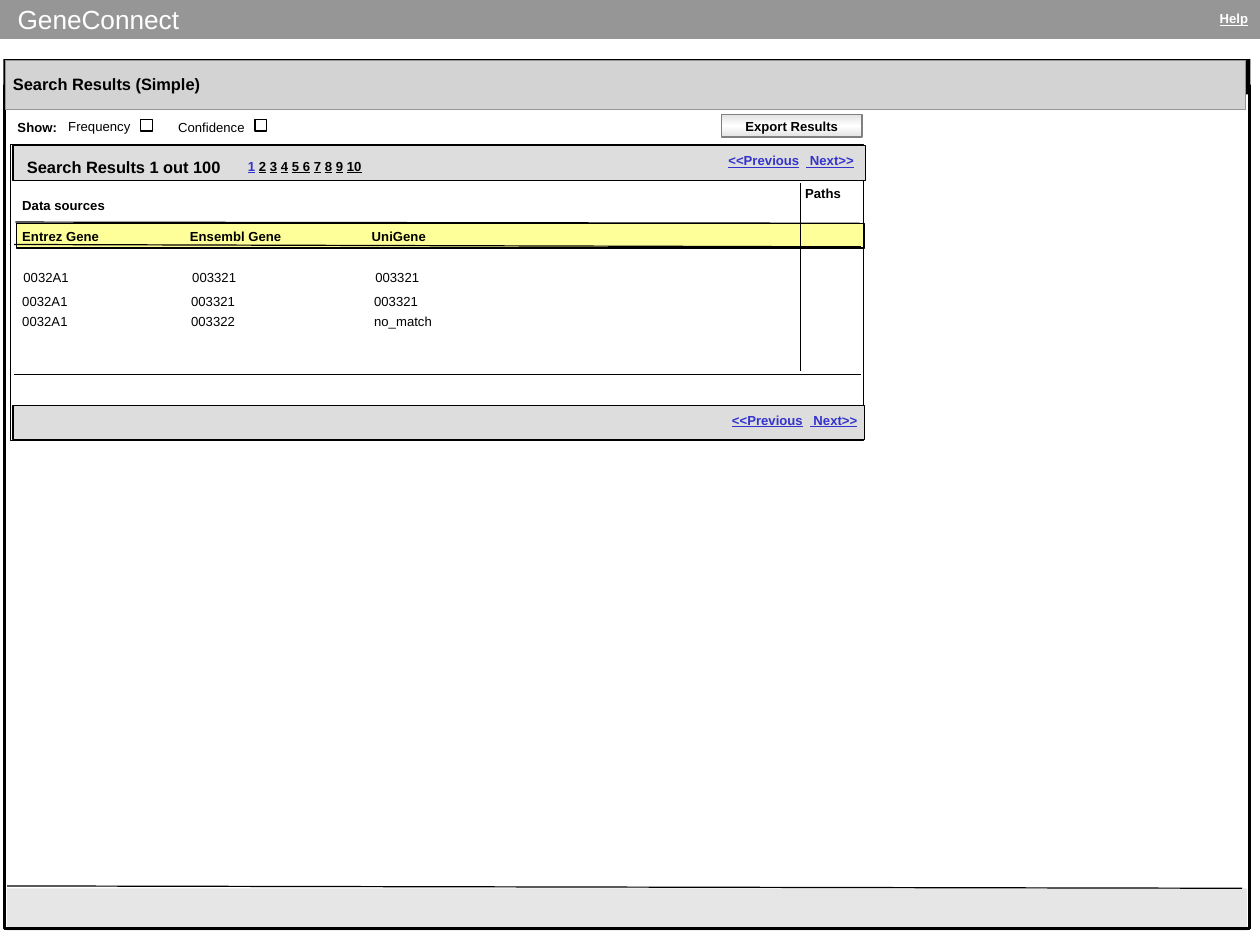
from collections import namedtuple
from copy import deepcopy

from lxml.etree import SubElement
from pptx import Presentation
from pptx.dml.color import RGBColor
from pptx.enum.shapes import MSO_CONNECTOR, MSO_SHAPE
from pptx.enum.text import MSO_ANCHOR, MSO_AUTO_SIZE, PP_ALIGN
from pptx.oxml.ns import qn
from pptx.util import Inches, Pt

BLACK, WHITE, LINK = "000000", "FFFFFF", "3333CC"
BAR_GREY, PANEL_GREY = "969696", "DDDDDD"
LINKED = {"underline": True}


class Box(namedtuple("Box", "left top width height")):
    def inside(self, dx, dy, width, height):
        return Box(self.left + dx, self.top + dy, width, height)


def paint(color_format, color):
    color_format.rgb = RGBColor.from_string(color)


def add_rect(slide, box, fill=None, line=None, weight=0.75):
    rect = slide.shapes.add_shape(MSO_SHAPE.RECTANGLE, *map(Inches, box))
    rect.shadow.inherit = False
    if fill:
        rect.fill.solid()
        paint(rect.fill.fore_color, fill)
    else:
        rect.fill.background()
    if line:
        paint(rect.line.color, line)
        rect.line.width = Pt(weight)
    else:
        rect.line.fill.background()
    return rect


def add_rule(slide, box, start, end):
    ends = (box.left + start[0], box.top + start[1], box.left + end[0], box.top + end[1])
    rule = slide.shapes.add_connector(MSO_CONNECTOR.STRAIGHT, *map(Inches, ends))
    paint(rule.line.color, BLACK)
    rule.line.width = Pt(0.75)
    SubElement(rule._element.spPr, qn("a:effectLst"))


def write(shape, runs, size=8, color=BLACK, bold=False, underline=False, align=PP_ALIGN.LEFT,
          anchor=MSO_ANCHOR.TOP, insets=(0.1, 0.05), wrap=True, spacing=1, tabs=()):
    frame = shape.text_frame
    frame.auto_size = MSO_AUTO_SIZE.NONE
    frame.word_wrap = wrap
    frame.vertical_anchor = anchor
    frame.margin_left = frame.margin_right = Inches(insets[0])
    frame.margin_top = frame.margin_bottom = Inches(insets[1])
    paragraph = frame.paragraphs[0]
    paragraph.alignment = align
    paragraph.line_spacing = spacing
    if tabs:
        stops = SubElement(paragraph._p.get_or_add_pPr(), qn("a:tabLst"))
        for stop in tabs:
            SubElement(stops, qn("a:tab"), pos=str(Inches(stop)), algn="l")
    for text, changes in [(runs, {})] if isinstance(runs, str) else runs:
        run = paragraph.add_run()
        run.text = text
        run.font.name = "Arial"
        run.font.size = Pt(size)
        run.font.bold = bold
        run.font.underline = changes.get("underline", underline)
        paint(run.font.color, changes.get("color", color))


def add_text(slide, box, runs, **formats):
    write(slide.shapes.add_textbox(*map(Inches, box)), runs, **formats)


def add_app_bar(slide, box):
    bar = add_rect(slide, box, fill=BAR_GREY)
    write(bar, "GeneConnect", size=16, color=WHITE, insets=(0.15, 0.03), anchor=MSO_ANCHOR.MIDDLE)
    add_text(slide, box.inside(box.width - 0.44, 0.04, 0.44, 0.24), "Help",
             color=WHITE, bold=True, underline=True, wrap=False)


def add_window(slide, box):
    add_rect(slide, box.inside(0.03, 7.02, 10.5, 0.36), fill="E6E6E6")
    add_rule(slide, box, (0.03, 7), (10.49, 7.02))
    add_rect(slide, box.inside(0, 0, box.width, 0.3), fill=BLACK)
    add_rect(slide, box.inside(0.01, 0.22, 10.54, 7.14), line=BLACK, weight=1.5)
    add_rect(slide, box.inside(0.02, 0.01, 10.5, 0.42), fill="D3D3D3", line=BAR_GREY)
    title = slide.shapes.title
    title.left, title.top, title.width, title.height = map(Inches, box.inside(-0.02, 0.08, 4.37, 0.27))
    write(title, "Search Results (Simple)", size=10, bold=True)
    slide.shapes._spTree.append(title._element)


def add_button(slide, box, label):
    button = add_rect(slide, box, line="808080")
    button.fill.gradient()
    button.fill.gradient_angle = 90
    first_stop = button._element.spPr.find(".//" + qn("a:gs"))
    first_stop.addnext(deepcopy(first_stop))
    for stop, position, color in zip(button.fill.gradient_stops, (0, 0.5, 1), ("E2E2E2", WHITE, "E2E2E2")):
        stop.position = position
        paint(stop.color, color)
    write(button, label, bold=True, align=PP_ALIGN.CENTER, anchor=MSO_ANCHOR.MIDDLE, insets=(0.05, 0.03))


def add_options(slide, box):
    add_text(slide, box.inside(0, 0.01, 0.53, 0.24), "Show:", bold=True, wrap=False)
    add_text(slide, box.inside(0.43, 0, 0.73, 0.24), "Frequency", wrap=False)
    add_text(slide, box.inside(1.36, 0.01, 0.76, 0.24), "Confidence", wrap=False)
    for dx in (1.14, 2.11):
        add_rect(slide, box.inside(dx, 0.06, 0.1, 0.1), line=BLACK)
    add_button(slide, box.inside(box.width - 1.19, 0.02, 1.19, 0.19), "Export Results")


def add_page_links(slide, box):
    add_text(slide, box, [("<<Previous", LINKED), ("\t", {}), (" Next>>", LINKED)],
             color=LINK, bold=True, tabs=[0.66])


def add_results_header(slide, box):
    add_rect(slide, box, fill=PANEL_GREY, line=BLACK)
    add_text(slide, box.inside(0.02, 0.05, 1.95, 0.27), "Search Results 1 out 100", size=10, bold=True)
    pages = [("1", {"color": LINK, **LINKED})]
    for page in ("2", "3", "4", "5 6", "7", "8", "9", "10"):
        pages += [(" ", {}), (page, LINKED)]
    add_text(slide, box.inside(1.89, 0.06, 2.39, 0.24), pages, bold=True)
    add_page_links(slide, box.inside(5.96, 0.01, 1.63, 0.24))


def add_results_footer(slide, box):
    add_rect(slide, box, fill=PANEL_GREY, line=BLACK)
    add_page_links(slide, box.inside(5.99, 0.01, 1.63, 0.24))


def add_results(slide, box):
    add_rect(slide, box.inside(0.05, 0.67, 7.18, 0.21), fill="FFFF99", line=BLACK)
    add_rect(slide, box, line=BLACK)
    for start, end in (((0.03, 1.95), (7.2, 1.95)), ((0.04, 0.66), (7.19, 0.67)),
                       ((0.03, 0.85), (7.2, 0.87)), ((6.69, 0.33), (6.69, 1.92))):
        add_rule(slide, box, start, end)
    add_text(slide, box.inside(0, 0.4, 1.3, 0.24), "Data sources", bold=True)
    add_text(slide, box.inside(6.63, 0.3, 0.5, 0.24), "Paths", bold=True, wrap=False)
    add_text(slide, box.inside(0, 0.53, 6.46, 0.37), "Entrez Gene\tEnsembl Gene\tUniGene",
             bold=True, spacing=2, tabs=[1.42, 2.96])
    for dx, dy, record in ((0.01, 0.88, ("0032A1", "003321", "003321")),
                           (0, 1.08, ("0032A1", "003321", "003321")),
                           (0, 1.25, ("0032A1", "003322", "no_match"))):
        add_text(slide, box.inside(dx, dy, 4.96, 0.37), "\t".join(record), spacing=2, tabs=[1.43, 2.98])
    add_results_header(slide, box.inside(0.02, 0.01, 7.22, 0.3))
    add_results_footer(slide, box.inside(0.02, 2.21, 7.21, 0.29))


def main():
    deck = Presentation()
    deck.slide_width, deck.slide_height = Inches(10.67), Inches(8)
    slide = deck.slides.add_slide(deck.slide_layouts[5])
    add_window(slide, Box(0.03, 0.5, 10.56, 7.36))
    add_app_bar(slide, Box(0, 0, 10.67, 0.33))
    add_options(slide, Box(0.05, 0.95, 7.25, 0.25))
    add_results(slide, Box(0.09, 1.22, 7.22, 2.51))
    deck.save("out.pptx")


if __name__ == "__main__":
    main()
